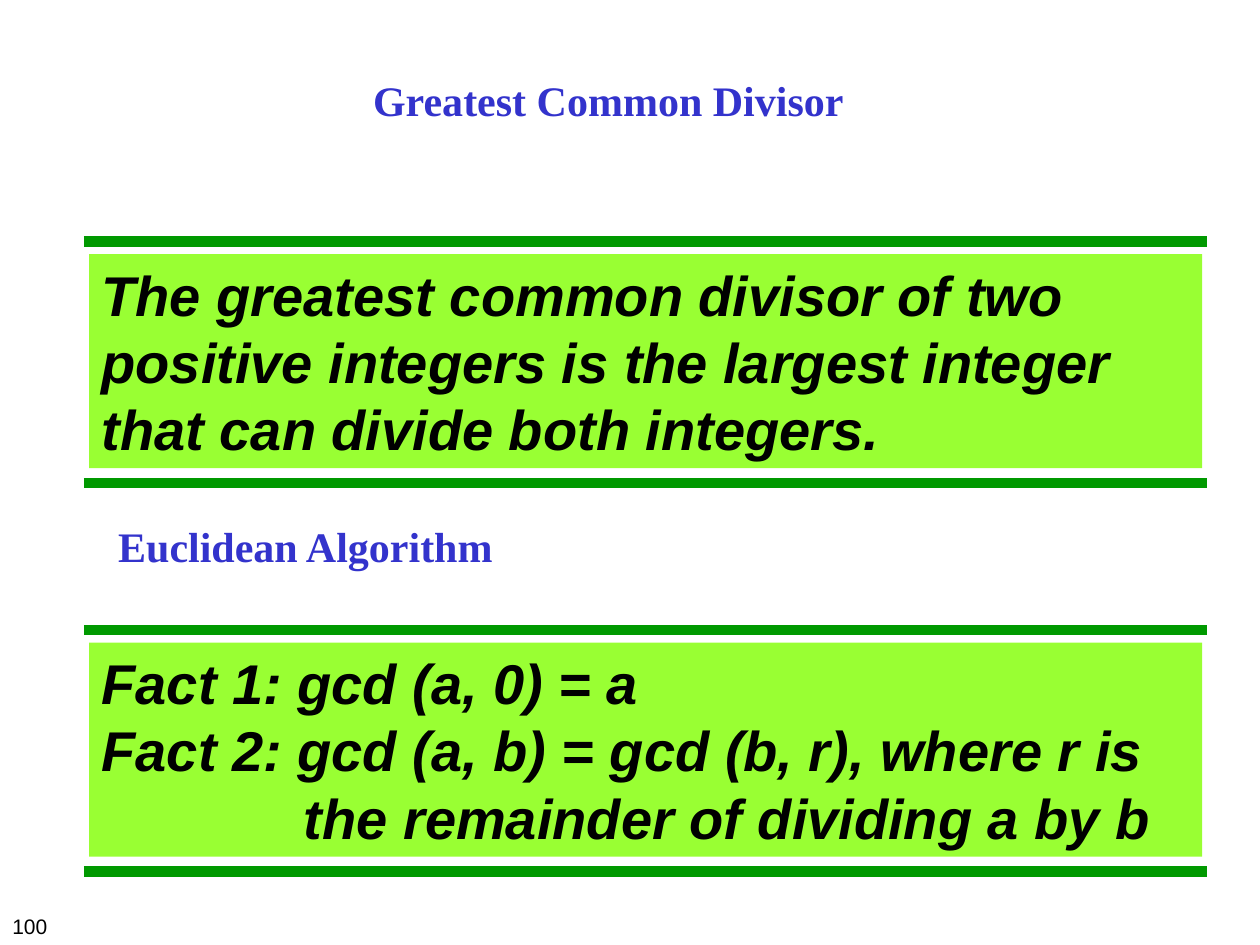
from lxml.etree import SubElement
from pptx import Presentation
from pptx.dml.color import RGBColor
from pptx.enum.shapes import MSO_CONNECTOR, MSO_SHAPE
from pptx.enum.text import MSO_ANCHOR, MSO_AUTO_SIZE, PP_ALIGN
from pptx.oxml.ns import qn
from pptx.util import Pt

TITLE = ("Greatest Common Divisor", (206, 39, 284, 36))
SUBTITLE = ("Euclidean Algorithm", (60.5, 294, 230, 36))
PAGE = ("100", (0, 504, 150, 36))
PANELS = [
    (138, [("The greatest common divisor of two positive integers is "
            "the largest integer that can divide both integers.", 0)]),
    (360, [("Fact 1: gcd (a, 0) = a", 0),
           ("Fact 2: gcd (a, b) = gcd (b, r), where r is", 0),
           ("the remainder of dividing a by b", 115.5)]),
]
PANEL_LEFT, PANEL_WIDTH, PANEL_HEIGHT = 51, 636, 122.4
RULE_LEFT, RULE_RIGHT, RULE_GAP, PANEL_GAP = 48, 690, 138, 7.2

HEADING = {"name": "Times New Roman", "size": Pt(24), "bold": True, "italic": False}
BODY = {"name": "Arial", "size": Pt(32), "bold": True, "italic": True}
NUMBER = {"name": "Arial", "size": Pt(12), "bold": False, "italic": False}


def color(value):
    return RGBColor.from_string(value)


def place(sp, box):
    for name, value in zip(("left", "top", "width", "height"), box):
        setattr(sp, name, Pt(value))


def write(sp, lines, style, ink, wrap=True, anchor=MSO_ANCHOR.TOP):
    tf = sp.text_frame
    tf.auto_size = MSO_AUTO_SIZE.NONE
    tf.word_wrap = wrap
    tf.vertical_anchor = anchor
    for i, (text, indent) in enumerate(lines):
        p = tf.add_paragraph() if i else tf.paragraphs[0]
        p.alignment = PP_ALIGN.LEFT
        if indent:
            p._p.get_or_add_pPr().set("marL", str(Pt(indent)))
        r = p.add_run()
        r.text = text
        for name, value in style.items():
            setattr(r.font, name, value)
        r.font.color.rgb = color(ink)


def add_text(s, text, box, style, ink, **options):
    sp = s.shapes.add_textbox(*map(Pt, box))
    write(sp, [(text, 0)], style, ink, **options)


def add_rule(s, y):
    line = s.shapes.add_connector(
        MSO_CONNECTOR.STRAIGHT, Pt(RULE_LEFT), Pt(y), Pt(RULE_RIGHT), Pt(y))
    line.line.color.rgb = color("009900")
    line.line.width = Pt(6)
    SubElement(line._element.spPr, qn("a:effectLst"))


def add_panel(s, top, lines):
    add_rule(s, top)
    add_rule(s, top + RULE_GAP)
    sp = s.shapes.add_shape(
        MSO_SHAPE.RECTANGLE, Pt(PANEL_LEFT), Pt(top + PANEL_GAP),
        Pt(PANEL_WIDTH), Pt(PANEL_HEIGHT))
    sp.shadow.inherit = False
    sp.fill.solid()
    sp.fill.fore_color.rgb = color("99FF33")
    sp.line.fill.background()
    write(sp, lines, BODY, "000000")


def main():
    prs = Presentation()
    prs.slide_width, prs.slide_height = Pt(720), Pt(540)
    s = prs.slides.add_slide(prs.slide_layouts[5])
    title, box = TITLE
    place(s.shapes.title, box)
    write(s.shapes.title, [(title, 0)], HEADING, "3333CC", wrap=False)
    for top, lines in PANELS:
        add_panel(s, top, lines)
    add_text(s, *SUBTITLE, HEADING, "3333CC", wrap=False)
    add_text(s, *PAGE, NUMBER, "000000", anchor=MSO_ANCHOR.BOTTOM)
    prs.save("out.pptx")


if __name__ == "__main__":
    main()
